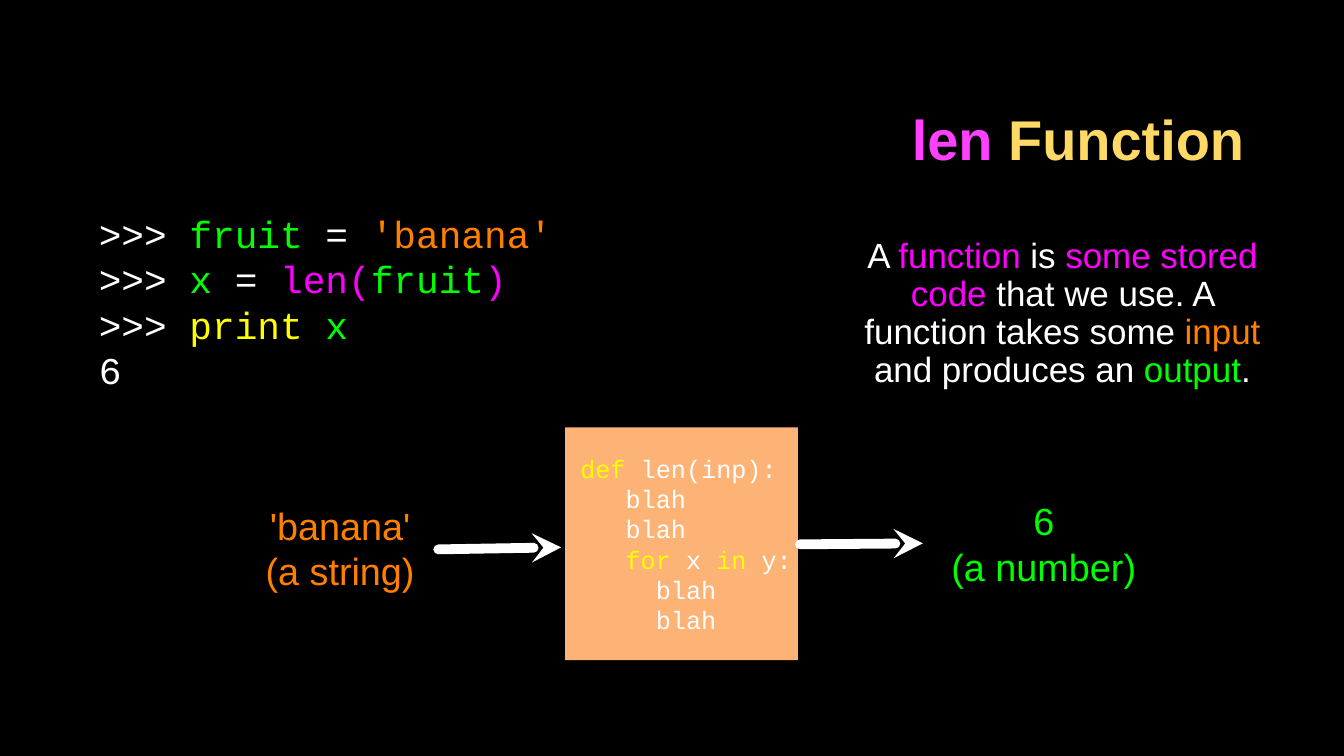
"""Build a slide that explains the len function with code and an input-output diagram."""
from lxml import etree
from pptx import Presentation, util as u
from pptx.dml.color import RGBColor
from pptx.enum import shapes, text
from pptx.oxml import ns

WIDTH, HEIGHT = u.Inches(13.34), u.Inches(7.5)
COLORS = {
    "black": "000000", "white": "FFFFFF", "pink": "FF40FF", "gold": "FFD966",
    "magenta": "FF00FF", "orange": "FF7F00", "green": "00FF00",
    "yellow": "FFFF00", "peach": "FEB376",
}
LEFT, CENTER, RIGHT = text.PP_ALIGN.LEFT, text.PP_ALIGN.CENTER, text.PP_ALIGN.RIGHT
SANS, MONO = "Arial", "Courier New"

TITLE = [[("len ", "pink"), ("Function", "gold")]]
CONSOLE = [
    [(">>> ", "white"), ("fruit ", "green"), ("=", "white"), (" 'banana'", "orange")],
    [(">>> ", "white"), ("x ", "green"), ("= ", "white"), ("len(", "magenta"),
     ("fruit", "green"), (")", "magenta")],
    [(">>> ", "white"), ("print ", "yellow"), ("x", "green")],
    [("6", "white")],
]
DEFINITION = [
    [("A ", "white"), ("function", "magenta"), (" is ", "white"),
     ("some stored code", "magenta"), (" that we use. A function takes some ", "white"),
     ("input", "orange"), (" and produces an ", "white"), ("output", "green"), (".", "white")],
]
LEN_CODE = [
    [(" def", "yellow"), (" len(inp):", "white")],
    [("    blah", "white")],
    [("    blah", "white")],
    [("    for", "yellow"), (" x ", "white"), ("in", "yellow"), (" y:", "white")],
    [("      blah", "white")],
    [("      blah", "white")],
]
INPUT = [[("'banana'", "orange")], [("(a string)", "orange")]]
OUTPUT = [[("6", "green")], [("(a number)", "green")]]

# Areas are left, top, width, height in percent of the slide.
TITLE_AREA = (7.12, 8.93, 85.68, 18.8)
MACHINE_AREA = (42.05, 56.53, 17.32, 30.8)
TEXTS = [
    (INPUT, (19.72, 66.4, 11.17, 12.13), SANS, 27, CENTER, 1),
    (OUTPUT, (70.39, 65.6, 14.54, 12.53), SANS, 27, CENTER, 1),
    (DEFINITION, (63.27, 29.6, 31.56, 23.87), SANS, 25, CENTER, 0.9),
    (CONSOLE, (7.35, 27.73, 34.71, 24.27), MONO, 27, LEFT, 1),
]
ARROWS = [(32.61, 72.67, 41.75, 72.4), (59.52, 72.0, 68.67, 71.87)]


def color(name):
    return RGBColor.from_string(COLORS[name])


def place(area):
    return [round(share / 100 * side) for share, side in zip(area, (WIDTH, HEIGHT) * 2)]


def write(box, lines, font, size, align, spacing=1, bold=False, inset=0):
    frame = box.text_frame
    frame.word_wrap = True
    frame.auto_size = text.MSO_AUTO_SIZE.NONE
    frame.vertical_anchor = text.MSO_ANCHOR.MIDDLE
    frame.margin_left = frame.margin_right = u.Inches(inset)
    frame.margin_top = frame.margin_bottom = u.Inches(inset)
    for index, line in enumerate(lines):
        para = frame.add_paragraph() if index else frame.paragraphs[0]
        para.alignment = align
        para.line_spacing = spacing
        para.space_before = para.space_after = u.Pt(0)
        for words, tint in line:
            span = para.add_run()
            span.text = words
            span.font.name, span.font.size, span.font.bold = font, u.Pt(size), bold
            span.font.color.rgb = color(tint)


def add_arrow(page, ends):
    arrow = page.shapes.add_connector(shapes.MSO_CONNECTOR.STRAIGHT, *place(ends))
    arrow.line.color.rgb = color("white")
    arrow.line.width = u.Pt(7)
    line = arrow.line._get_or_add_ln()
    line.set("cap", "rnd")
    etree.SubElement(line, ns.qn("a:round"))
    etree.SubElement(line, ns.qn("a:tailEnd"), type="stealth")
    etree.SubElement(arrow._element.spPr, ns.qn("a:effectLst"))


def main():
    deck = Presentation()
    deck.slide_width, deck.slide_height = WIDTH, HEIGHT
    page = deck.slides.add_slide(deck.slide_layouts[5])
    page.background.fill.solid()
    page.background.fill.fore_color.rgb = color("black")

    title = page.shapes.title
    title.left, title.top, title.width, title.height = place(TITLE_AREA)
    write(title, TITLE, SANS, 40, RIGHT, bold=True, inset=0.03)

    machine = page.shapes.add_shape(shapes.MSO_SHAPE.RECTANGLE, *place(MACHINE_AREA))
    machine.shadow.inherit = False
    machine.fill.solid()
    machine.fill.fore_color.rgb = color("peach")
    machine.line.fill.background()
    write(machine, LEN_CODE, MONO, 18, LEFT)

    for lines, area, font, size, align, spacing in TEXTS:
        write(page.shapes.add_textbox(*place(area)), lines, font, size, align, spacing)
    for ends in ARROWS:
        add_arrow(page, ends)
    deck.save("out.pptx")


if __name__ == "__main__":
    main()
